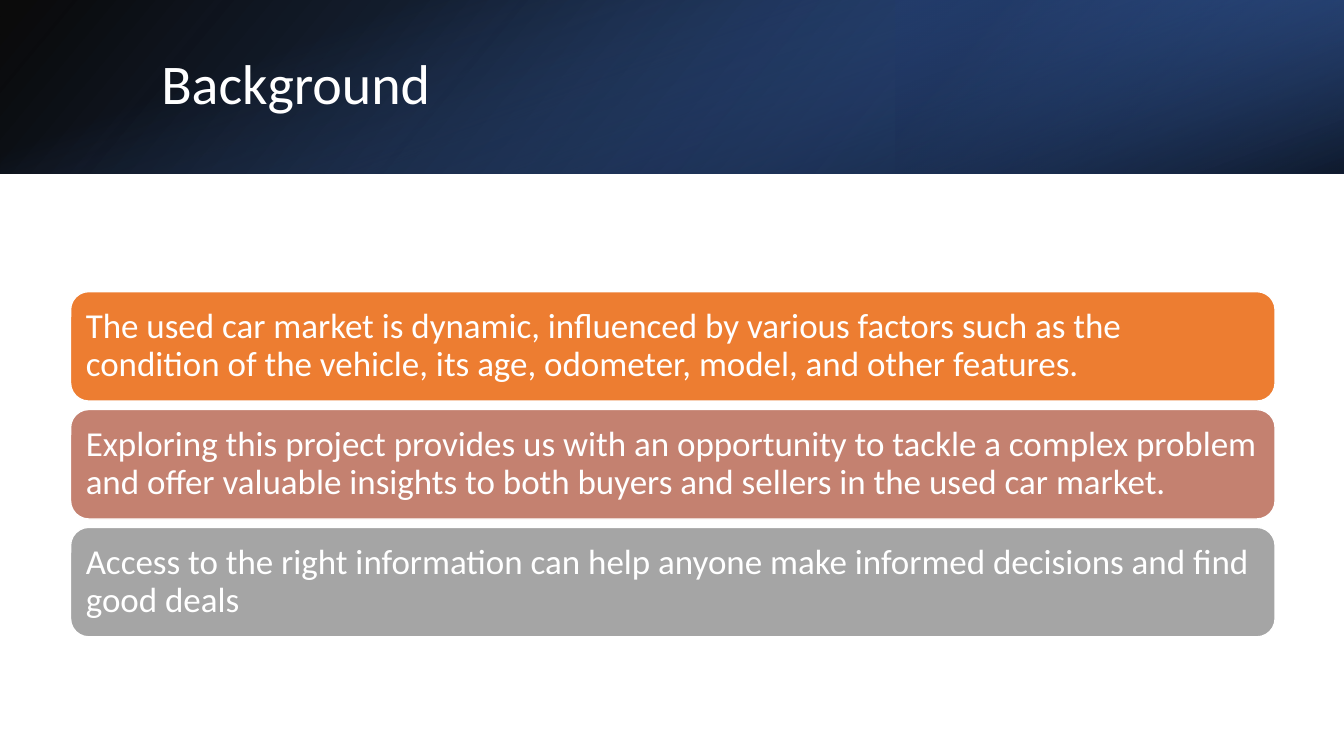
from dataclasses import dataclass

from lxml import etree
from pptx import Presentation
from pptx.dml.color import RGBColor
from pptx.enum.shapes import MSO_SHAPE
from pptx.enum.text import MSO_ANCHOR, MSO_AUTO_SIZE, PP_ALIGN
from pptx.oxml.ns import qn
from pptx.shapes.autoshape import Shape
from pptx.slide import Slide
from pptx.util import Pt

RECT, ROUND_RECT = MSO_SHAPE.RECTANGLE, MSO_SHAPE.ROUNDED_RECTANGLE
MIDDLE, LEFT, NO_FIT = MSO_ANCHOR.MIDDLE, PP_ALIGN.LEFT, MSO_AUTO_SIZE.NONE

COLORS = {
    "white": "FFFFFF", "black": "000000",
    "blue": "4472C4", "mid_blue": "2F5597", "navy": "203864",
    "orange": "ED7D31", "rose": "C48170", "gray": "A5A5A5",
}
FONT = "Calibri"
SLIDE_W, SLIDE_H = 960, 540
BANNER_H = 124
CARD_LEFT, CARD_TOP, CARD_W, CARD_H, CARD_PITCH = 50.4, 208.3, 860.4, 78.2, 84.2


@dataclass
class Stop:
    position: float
    color: str
    opacity: int


@dataclass
class Band:
    left: float
    top: float
    width: float
    height: float
    stops: tuple[Stop, Stop]
    angle: int
    rotation: int = 0
    flipped: bool = False


@dataclass
class Card:
    color: str
    text: str


OFFSET = (SLIDE_W - BANNER_H) / 2
BANDS = [
    Band(0, 0, SLIDE_W, BANNER_H,
         (Stop(0, "black", 96), Stop(1, "mid_blue", 100)), 140, flipped=True),
    Band(SLIDE_W * 2 / 3, 0, SLIDE_W / 3, BANNER_H,
         (Stop(0.19, "navy", 68), Stop(1, "blue", 79)), 320, 180, True),
    Band(OFFSET, -OFFSET, BANNER_H, SLIDE_W,
         (Stop(0.23, "blue", 0), Stop(0.99, "black", 74)), 340, 90),
]
CARDS = [
    Card("orange", "The used car market is dynamic, influenced by various factors such as "
         "the condition of the vehicle, its age, odometer, model, and other features."),
    Card("rose", "Exploring this project provides us with an opportunity to tackle a complex "
         "problem and offer valuable insights to both buyers and sellers in the used car market."),
    Card("gray", "Access to the right information can help anyone make informed decisions "
         "and find good deals"),
]


def rgb(name: str) -> RGBColor:
    return RGBColor.from_string(COLORS[name])


def write_text(shape: Shape, text: str, size: float) -> None:
    tf = shape.text_frame
    frame_format = {"word_wrap": True, "auto_size": NO_FIT, "vertical_anchor": MIDDLE,
                    "margin_left": Pt(7.2), "margin_right": Pt(7.2)}
    for name, value in frame_format.items():
        setattr(tf, name, value)
    p = tf.paragraphs[0]
    p.alignment, p.line_spacing = LEFT, 0.9
    r = p.add_run()
    r.text = text
    for name, value in {"name": FONT, "size": Pt(size)}.items():
        setattr(r.font, name, value)
    r.font.color.rgb = rgb("white")


def add_band(s: Slide, band: Band) -> None:
    """Draw a banner layer with a semi-transparent gradient."""
    sp = s.shapes.add_shape(RECT, Pt(band.left), Pt(band.top), Pt(band.width), Pt(band.height))
    sp.shadow.inherit = False
    sp.line.fill.background()
    sp.rotation = band.rotation
    props = sp._element.spPr
    if band.flipped:
        props.find(qn("a:xfrm")).set("flipH", "1")
    sp.fill.gradient()
    sp.fill.gradient_angle = 360 - band.angle  # python-pptx counts counter-clockwise
    for stop, target in zip(band.stops, sp.fill.gradient_stops):
        target.position = stop.position
        target.color.rgb = rgb(stop.color)
    for stop, color in zip(band.stops, props.iter(qn("a:srgbClr"))):
        etree.SubElement(color, qn("a:alpha")).set("val", str(stop.opacity * 1000))


def add_title(s: Slide, text: str) -> None:
    """Place the title in front of the banner layers."""
    sp = s.shapes.title
    sp.left, sp.top, sp.width, sp.height = Pt(108), Pt(27.4), Pt(790.6), Pt(69.1)
    write_text(sp, text, 40)
    s.shapes._spTree.append(sp._element)


def add_card(s: Slide, card: Card, top: float) -> None:
    sp = s.shapes.add_shape(ROUND_RECT, Pt(CARD_LEFT), Pt(top), Pt(CARD_W), Pt(CARD_H))
    sp.shadow.inherit = False
    sp.fill.solid()
    sp.fill.fore_color.rgb = rgb(card.color)
    sp.line.color.rgb = rgb("white")
    sp.line.width = Pt(1)
    write_text(sp, card.text, 25)


def main() -> None:
    prs = Presentation()
    prs.slide_width, prs.slide_height = Pt(SLIDE_W), Pt(SLIDE_H)
    s = prs.slides.add_slide(prs.slide_layouts[5])
    for band in BANDS:
        add_band(s, band)
    add_title(s, "Background")
    for i, card in enumerate(CARDS):
        add_card(s, card, CARD_TOP + i * CARD_PITCH)
    prs.save("out.pptx")


if __name__ == "__main__":
    main()
